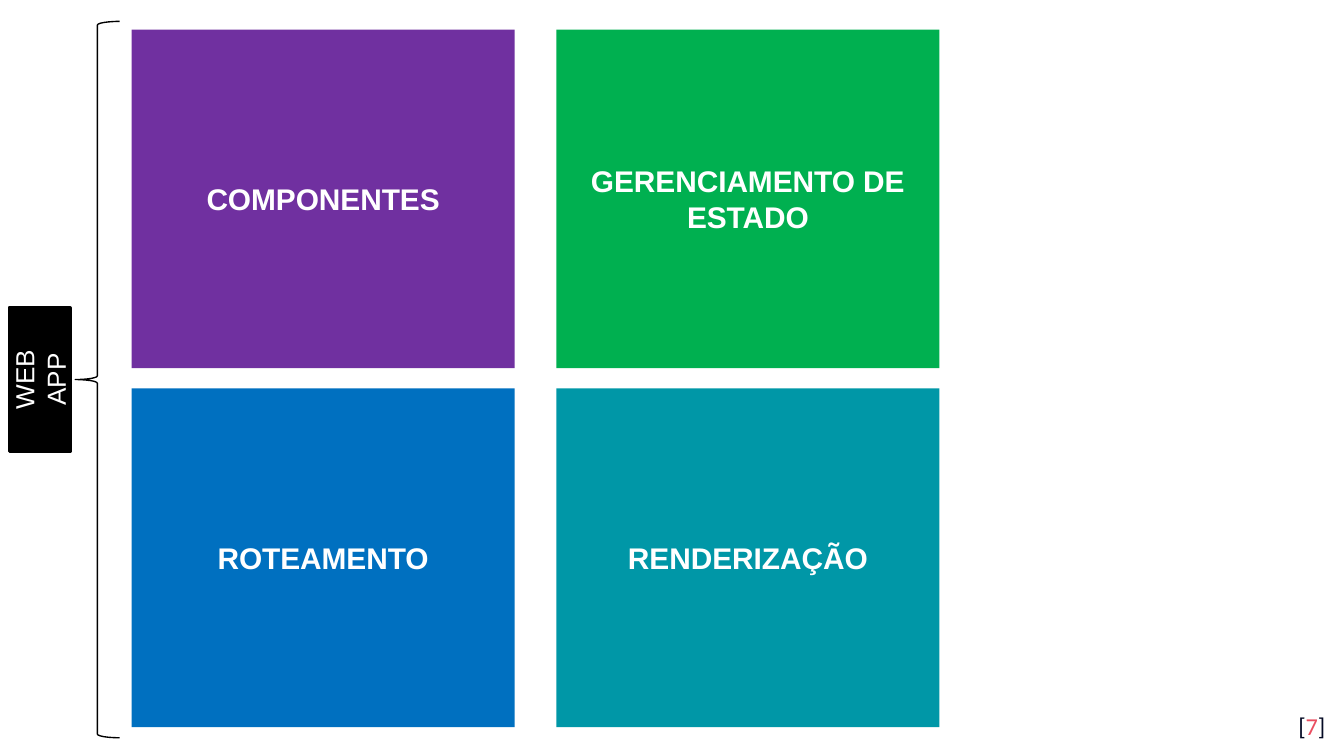
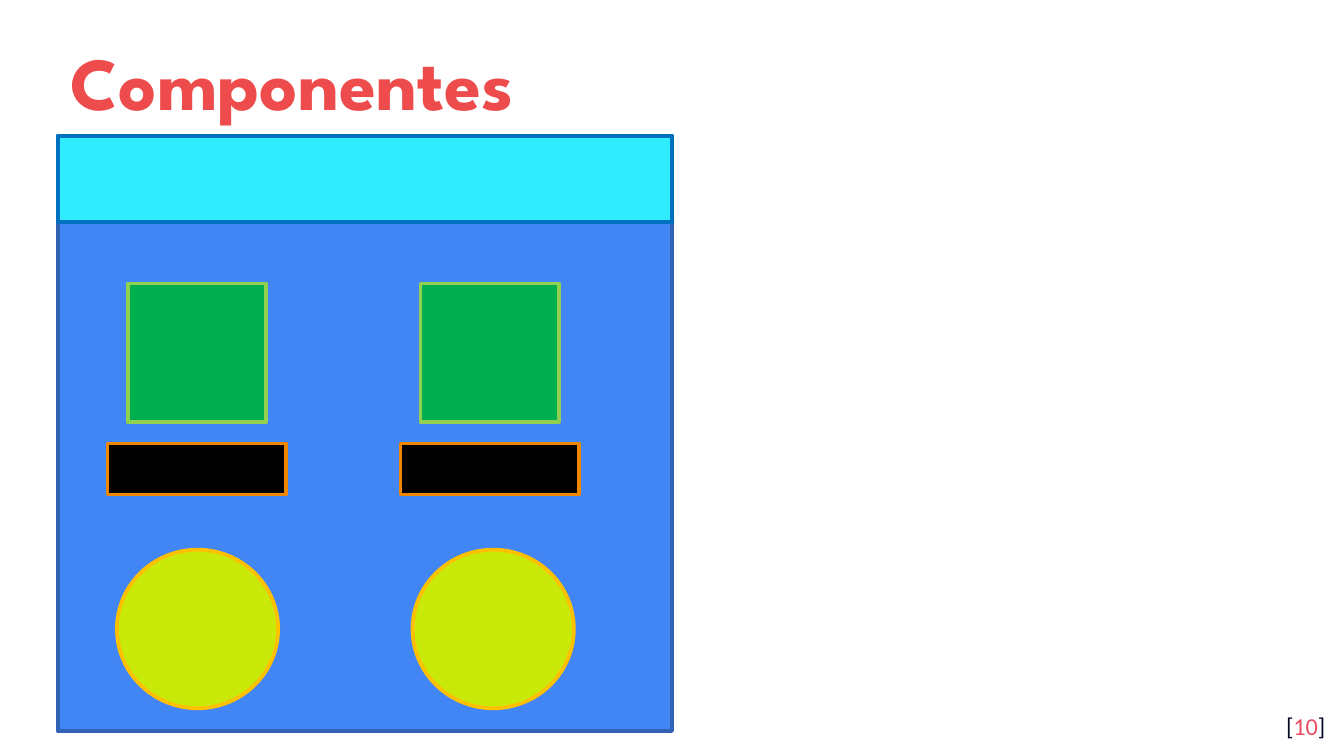
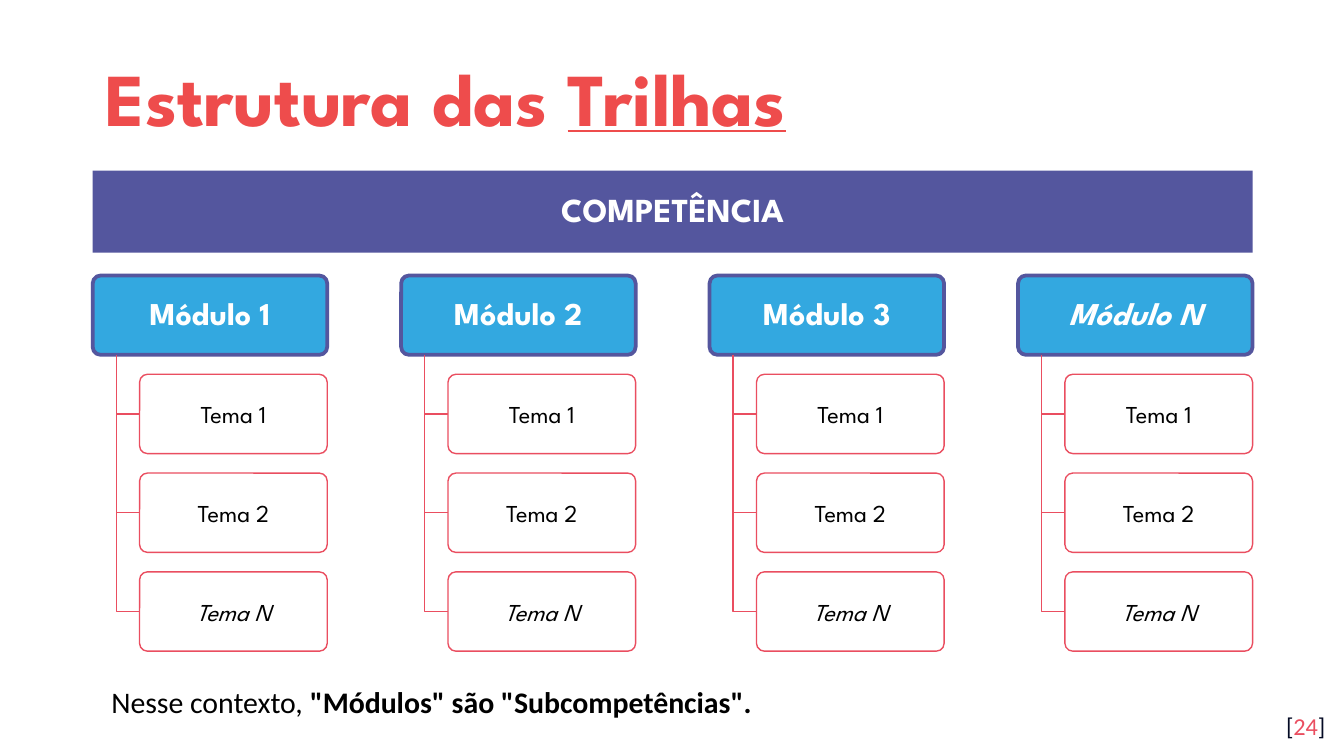
from dataclasses import dataclass, replace
from typing import Optional

from lxml import etree
from pptx import Presentation, util as u
from pptx.dml import color as dml
from pptx.enum import shapes, text
from pptx.oxml import ns

WIDTH = u.Inches(10)
HEIGHT = WIDTH * 9 // 16
COLUMNS = 100
CELL = WIDTH // COLUMNS

RECT = shapes.MSO_SHAPE.RECTANGLE
ROUND = shapes.MSO_SHAPE.ROUNDED_RECTANGLE
OVAL = shapes.MSO_SHAPE.OVAL
BRACE = shapes.MSO_SHAPE.LEFT_BRACE
LEFT, CENTER, RIGHT = text.PP_ALIGN.LEFT, text.PP_ALIGN.CENTER, text.PP_ALIGN.RIGHT
TOP, MIDDLE = text.MSO_ANCHOR.TOP, text.MSO_ANCHOR.MIDDLE

WHITE, BLACK, NAVY = "FFFFFF", "000000", "040A24"
CORAL, ROSE, INDIGO, SKY = "EE4C4C", "EA4E60", "54569E", "33A8E0"
GREEN = "00B050"
SPARTAN = "League Spartan"


@dataclass(frozen=True)
class Box:
    left: float
    top: float
    width: float
    height: float

    def emu(self) -> tuple[int, ...]:
        return tuple(grid(n) for n in (self.left, self.top, self.width, self.height))


@dataclass(frozen=True)
class Look:
    fill: Optional[str] = None
    line: Optional[str] = None
    weight: float = 2
    opacity: int = 100


@dataclass(frozen=True)
class Style:
    font: str
    size: int
    color: str
    bold: bool = False
    italic: bool = False
    align: text.PP_ALIGN = CENTER
    anchor: text.MSO_ANCHOR = MIDDLE
    spacing: float = 1
    before: float = 0
    inset: tuple[float, float] = (1, 1)


@dataclass(frozen=True)
class Span:
    words: str
    color: Optional[str] = None
    bold: Optional[bool] = None
    underline: Optional[bool] = None


@dataclass(frozen=True)
class Part:
    kind: shapes.MSO_SHAPE
    look: Look
    box: Box
    second_left: float


TITLE = Style(SPARTAN, 40, CORAL, bold=True, align=LEFT, spacing=1.15)
FOOTER = Style("Calibri", 13, NAVY, align=RIGHT, anchor=TOP)
TILE = Style("Arial", 16, WHITE, bold=True, inset=(1, 0.5))
TAG = replace(TILE, size=14, bold=False)
BAND = Style(SPARTAN, 18, WHITE, bold=True, spacing=0.9, inset=(0.6, 0.4))
MODULE = replace(BAND, size=17, inset=(1, 1))
THEME = Style(SPARTAN, 13, BLACK, before=5.2)
NOTE = Style("Calibri", 16, BLACK, align=LEFT, anchor=TOP, spacing=0.9)


def grid(cells: float) -> int:
    return round(cells * CELL)


def rgb(code: str) -> dml.RGBColor:
    return dml.RGBColor.from_string(code)


def paint(shape, look: Look) -> None:
    shape.shadow.inherit = False
    if look.fill:
        shape.fill.solid()
        shape.fill.fore_color.rgb = rgb(look.fill)
        if look.opacity < 100:
            tint = shape.fill._xPr.find(".//" + ns.qn("a:srgbClr"))
            etree.SubElement(tint, ns.qn("a:alpha"), val=str(look.opacity * 1000))
    else:
        shape.fill.background()
    if look.line:
        shape.line.color.rgb = rgb(look.line)
        shape.line.width = u.Pt(look.weight)
    else:
        shape.line.fill.background()


def write(shape, style: Style, *lines: list[Span]) -> None:
    frame = shape.text_frame
    frame.word_wrap = True
    frame.vertical_anchor = style.anchor
    frame.margin_left = frame.margin_right = grid(style.inset[0])
    frame.margin_top = frame.margin_bottom = grid(style.inset[1])
    for index, line in enumerate(lines):
        para = frame.add_paragraph() if index else frame.paragraphs[0]
        para.alignment = style.align
        para.line_spacing = style.spacing
        para.space_before = u.Pt(style.before)
        para.font.name, para.font.size = style.font, u.Pt(style.size)
        para.font.bold, para.font.italic = style.bold, style.italic
        para.font.color.rgb = rgb(style.color)
        for span in line:
            run = para.add_run()
            run.text = span.words
            run.font.bold = span.bold
            run.font.underline = span.underline
            if span.color:
                run.font.color.rgb = rgb(span.color)


def add_block(parent, kind: shapes.MSO_SHAPE, box: Box, look: Look):
    shape = parent.add_shape(kind, *box.emu())
    paint(shape, look)
    if kind == ROUND:
        shape.adjustments[0] = 0.1
    return shape


def add_text(page, box: Box, style: Style, *spans: Span) -> None:
    write(page.shapes.add_textbox(*box.emu()), style, list(spans))


def add_page(deck, number: int):
    page = deck.slides.add_slide(deck.slide_layouts[6])
    add_text(page, Box(93.6, 51.9, 6, 4.3), FOOTER,
             Span("["), Span(str(number), ROSE), Span("]"))
    return page


def add_title(page, left: float, top: float, *spans: Span) -> None:
    add_text(page, Box(left, top, 81, 9.2), TITLE, *spans)


def build_web_app(deck) -> None:
    page = add_page(deck, 7)
    tiles = [
        ("7030A0", ["COMPONENTES"]),
        (GREEN, ["GERENCIAMENTO DE", "ESTADO"]),
        ("0070C0", ["ROTEAMENTO"]),
        ("0097A7", ["RENDERIZAÇÃO"]),
    ]
    for index, (fill, lines) in enumerate(tiles):
        row, column = divmod(index, 2)
        box = Box(9.8 + 31.6 * column, 2.2 + 26.7 * row, 28.5, 25.2)
        tile = add_block(page.shapes, RECT, box, Look(fill))
        write(tile, TILE, *([Span(line)] for line in lines))
    add_block(page.shapes, BRACE, Box(5.6, 1.6, 3.3, 53.3), Look(line=BLACK, weight=0.75))
    tag = add_block(page.shapes, RECT, Box(-2.4, 26, 10.7, 4.5), Look(BLACK, BLACK))
    tag.rotation = 270
    write(tag, TAG, [Span("WEB APP")])


def build_components(deck) -> None:
    page = add_page(deck, 10)
    screen = Box(4.3, 10.1, 45.7, 44.3)
    add_block(page.shapes, RECT, screen, Look("4285F4", "3162B5"))
    add_title(page, screen.left, 0.9, Span("Componentes"))
    add_block(page.shapes, RECT, replace(screen, height=6.4), Look("31EBFF", "0070C0"))
    parts = [
        Part(RECT, Look(GREEN, "92D050"), Box(9.5, 21.1, 10.3, 10.3), 31.3),
        Part(RECT, Look(BLACK, "EF8600"), Box(8, 33, 13.3, 3.8), 29.8),
        Part(OVAL, Look("C9E909", "FFC000"), Box(8.7, 40.9, 12, 11.8), 30.7),
    ]
    for part in parts:
        for left in (part.box.left, part.second_left):
            add_block(page.shapes, part.kind, replace(part.box, left=left), part.look)


def add_branch(parent, left: float, top: float, right: float, bottom: float) -> None:
    pen = parent.build_freeform(grid(left), grid(top))
    corners = [(grid(left), grid(bottom)), (grid(right), grid(bottom))]
    pen.add_line_segments(corners, close=False)
    paint(pen.convert_to_shape(), Look(line=ROSE, weight=0.75))


def add_module(page, name: str, box: Box) -> None:
    group = page.shapes.add_group_shape().shapes
    head = add_block(group, ROUND, box, Look(SKY, INDIGO))
    write(head, replace(MODULE, italic=name.endswith("N")), [Span(name)])
    bottom = box.top + box.height
    indent = box.width / 5
    for row, mark in enumerate("12N", start=1):
        theme = Box(box.left + indent, box.top + 7.35 * row, box.width - indent, box.height)
        add_branch(group, box.left + indent / 2, bottom,
                   theme.left, theme.top + theme.height / 2)
        card = add_block(group, ROUND, theme, Look(WHITE, ROSE, 0.75, 89))
        write(card, replace(THEME, italic=mark == "N"), [Span(f"Tema {mark}")])


def build_tracks(deck) -> None:
    page = add_page(deck, 24)
    band = Box(6.9, 12.7, 86.3, 6.1)
    add_title(page, band.left, 2.1, Span("Estrutura das "), Span("Trilhas", underline=True))
    write(add_block(page.shapes, RECT, band, Look(INDIGO)), BAND, [Span("COMPETÊNCIA")])
    add_text(page, Box(7.3, 50.2, 85.9, 4.4), NOTE, Span("Nesse contexto, "),
             Span('"Módulos" são "Subcompetências".', bold=True))
    marks = "123N"
    width = 17.45
    step = (band.width - width) / (len(marks) - 1)
    for column, mark in enumerate(marks):
        add_module(page, f"Módulo {mark}", Box(band.left + step * column, 20.5, width, 5.9))


def main() -> None:
    deck = Presentation()
    deck.slide_width, deck.slide_height = WIDTH, HEIGHT
    build_web_app(deck)
    build_components(deck)
    build_tracks(deck)
    deck.save("out.pptx")


if __name__ == "__main__":
    main()
